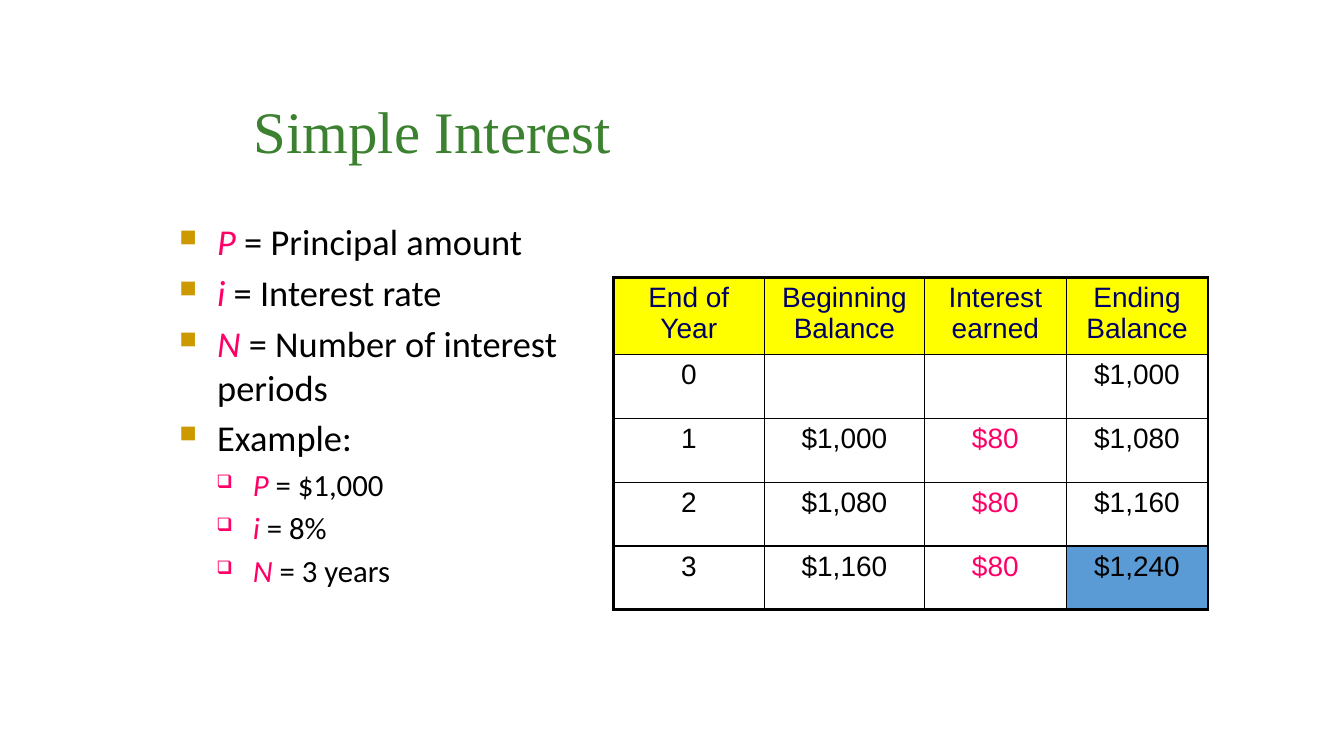
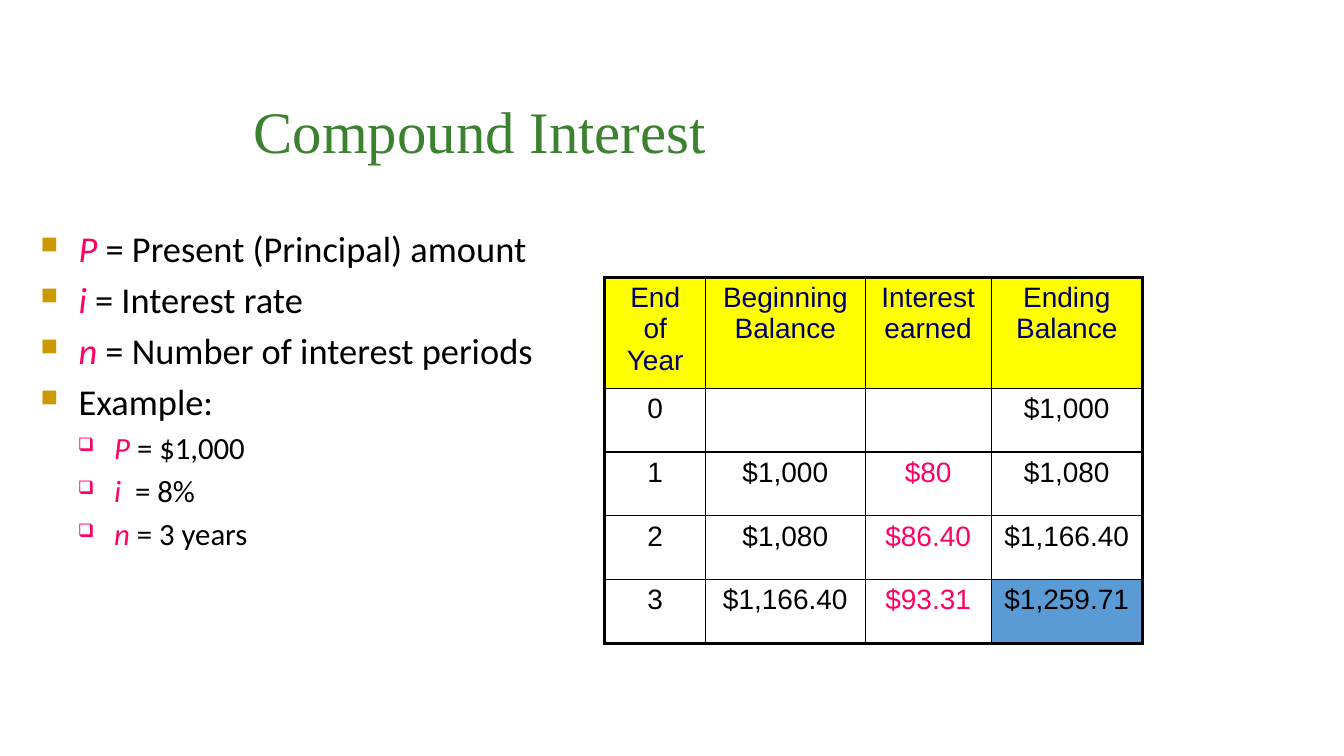
from dataclasses import dataclass

from lxml import etree
from pptx import Presentation
from pptx.dml.color import RGBColor as RGB
from pptx.enum.text import MSO_ANCHOR, MSO_AUTO_SIZE, PP_ALIGN
from pptx.oxml.ns import qn
from pptx.util import Pt

COLORS = {
    "title": "3B812F",
    "text": "000000",
    "accent": "FF0066",
    "bullet": "CC9900",
    "header_text": "000066",
    "header_fill": "FFFF00",
    "result_fill": "5B9BD5",
    "border": "000000",
}
TITLE_BOX = (174, 48, 612, 90)
TITLE_FONT = {"name": "Times New Roman", "size": Pt(42), "bold": False}
CELL_FONT = {"name": "Arial", "size": Pt(20), "bold": False}
HEADERS = ("End of Year", "Beginning Balance", "Interest earned", "Ending Balance")
INTEREST_COL = 2
ROW_HEIGHT = 45.6
THIN, THICK = 1, 2.25


@dataclass(frozen=True)
class Level:
    size: float
    margin: float
    hanging: float
    char: str
    color: str
    percent: int


@dataclass(frozen=True)
class Item:
    symbol: str
    text: str
    level: int = 0


@dataclass(frozen=True)
class InterestSlide:
    title: str
    list_box: tuple[float, float, float, float]
    items: tuple[Item, ...]
    table_pos: tuple[float, float]
    col_widths: tuple[float, ...]
    rows: tuple[tuple[str, ...], ...]


LEVELS = (
    Level(26, 27, 27, "■", "bullet", 65),
    Level(22, 52.5, 26, "❑", "accent", 60),
)

SLIDES = (
    InterestSlide(
        "Simple Interest",
        (121, 153, 300, 324),
        (
            Item("P", " = Principal amount"),
            Item("i ", "= Interest rate"),
            Item("N", " = Number of interest periods"),
            Item("", "Example:"),
            Item("P", " = $1,000", 1),
            Item("i", " = 8%", 1),
            Item("N", " = 3 years", 1),
        ),
        (438, 198),
        (108, 114.4, 101.2, 101.2),
        (
            ("0", "", "", "$1,000"),
            ("1", "$1,000", "$80", "$1,080"),
            ("2", "$1,080", "$80", "$1,160"),
            ("3", "$1,160", "$80", "$1,240"),
        ),
    ),
    InterestSlide(
        "Compound Interest",
        (22, 158, 372, 324),
        (
            Item("P", " = Present (Principal) amount"),
            Item("i ", "= Interest rate"),
            Item("n", " = Number of interest periods"),
            Item("", "Example:"),
            Item("P", " = $1,000", 1),
            Item("i", "  = 8%", 1),
            Item("n", " = 3 years", 1),
        ),
        (432, 198),
        (72, 114, 90, 108),
        (
            ("0", "", "", "$1,000"),
            ("1", "$1,000", "$80", "$1,080"),
            ("2", "$1,080", "$86.40", "$1,166.40"),
            ("3", "$1,166.40", "$93.31", "$1,259.71"),
        ),
    ),
)


def rgb(name: str) -> RGB:
    return RGB.from_string(COLORS[name])


def add_run(p, text: str, color: str, style: dict) -> None:
    r = p.add_run()
    r.text = text
    for key, value in style.items():
        setattr(r.font, key, value)
    r.font.color.rgb = rgb(color)


def add_title(slide, text: str) -> None:
    sp = slide.shapes.title
    sp.left, sp.top, sp.width, sp.height = map(Pt, TITLE_BOX)
    tf = sp.text_frame
    tf.auto_size = MSO_AUTO_SIZE.NONE
    tf.vertical_anchor = MSO_ANCHOR.MIDDLE
    p = tf.paragraphs[0]
    p.alignment = PP_ALIGN.LEFT
    add_run(p, text, "title", TITLE_FONT)


def set_bullet(p, level: Level) -> None:
    pPr = p._p.get_or_add_pPr()
    pPr.set("marL", str(Pt(level.margin)))
    pPr.set("indent", str(-Pt(level.hanging)))
    color = etree.SubElement(pPr, qn("a:buClr"))
    etree.SubElement(color, qn("a:srgbClr"), val=COLORS[level.color])
    etree.SubElement(pPr, qn("a:buSzPct"), val=str(level.percent * 1000))
    etree.SubElement(pPr, qn("a:buChar"), char=level.char)


def add_list(slide, box: tuple[float, float, float, float], items: tuple[Item, ...]) -> None:
    tf = slide.shapes.add_textbox(*map(Pt, box)).text_frame
    tf.word_wrap = True
    for i, item in enumerate(items):
        p = tf.paragraphs[0] if i == 0 else tf.add_paragraph()
        level = LEVELS[item.level]
        p.level = item.level
        p.space_before = Pt(level.size * 0.2)
        set_bullet(p, level)
        style = {"name": "Calibri", "size": Pt(level.size)}
        if item.symbol:
            add_run(p, item.symbol, "accent", style | {"italic": True})
        add_run(p, item.text, "text", style)


def set_borders(cell, widths: dict[str, float]) -> None:
    tcPr = cell._tc.get_or_add_tcPr()
    for side, width in widths.items():
        ln = etree.SubElement(tcPr, qn(f"a:ln{side}"), w=str(Pt(width)))
        fill = etree.SubElement(ln, qn("a:solidFill"))
        etree.SubElement(fill, qn("a:srgbClr"), val=COLORS["border"])


def add_balance_table(slide, data: InterestSlide) -> None:
    grid = (HEADERS, *data.rows)
    last_row, last_col = len(grid) - 1, len(HEADERS) - 1
    size = (sum(data.col_widths), ROW_HEIGHT * len(grid))
    table = slide.shapes.add_table(
        len(grid), len(HEADERS), *map(Pt, data.table_pos + size)
    ).table
    table.first_row = table.horz_banding = False
    for column, width in zip(table.columns, data.col_widths):
        column.width = Pt(width)

    for i, row in enumerate(grid):
        table.rows[i].height = Pt(ROW_HEIGHT)
        for j, text in enumerate(row):
            cell = table.cell(i, j)
            # Thick outer frame, thin inner rules
            outer = {"L": j == 0, "R": j == last_col, "T": i == 0, "B": i == last_row}
            set_borders(cell, {s: THICK if edge else THIN for s, edge in outer.items()})

            # Yellow header, highlighted final balance
            color, fill = "text", None
            if i == 0:
                color, fill = "header_text", "header_fill"
            elif j == INTEREST_COL:
                color = "accent"
            elif (i, j) == (last_row, last_col):
                fill = "result_fill"
            if fill:
                cell.fill.solid()
                cell.fill.fore_color.rgb = rgb(fill)
            else:
                cell.fill.background()

            if text:
                p = cell.text_frame.paragraphs[0]
                p.alignment = PP_ALIGN.CENTER
                add_run(p, text, color, CELL_FONT)


def main() -> None:
    prs = Presentation()
    prs.slide_width, prs.slide_height = Pt(960), Pt(540)
    title_only = prs.slide_layouts[5]
    for data in SLIDES:
        slide = prs.slides.add_slide(title_only)
        add_title(slide, data.title)
        add_list(slide, data.list_box, data.items)
        add_balance_table(slide, data)
    prs.save("out.pptx")


if __name__ == "__main__":
    main()
